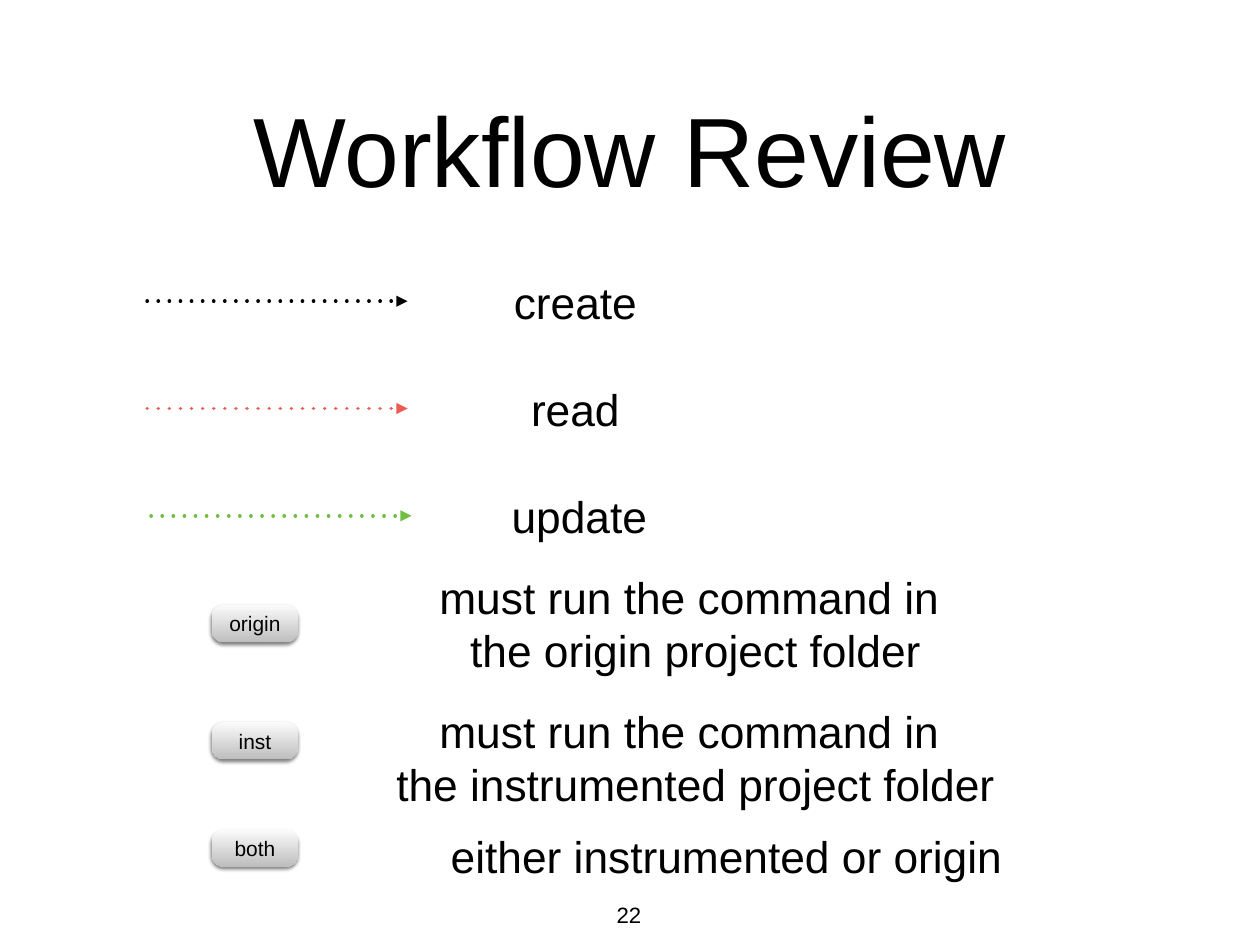
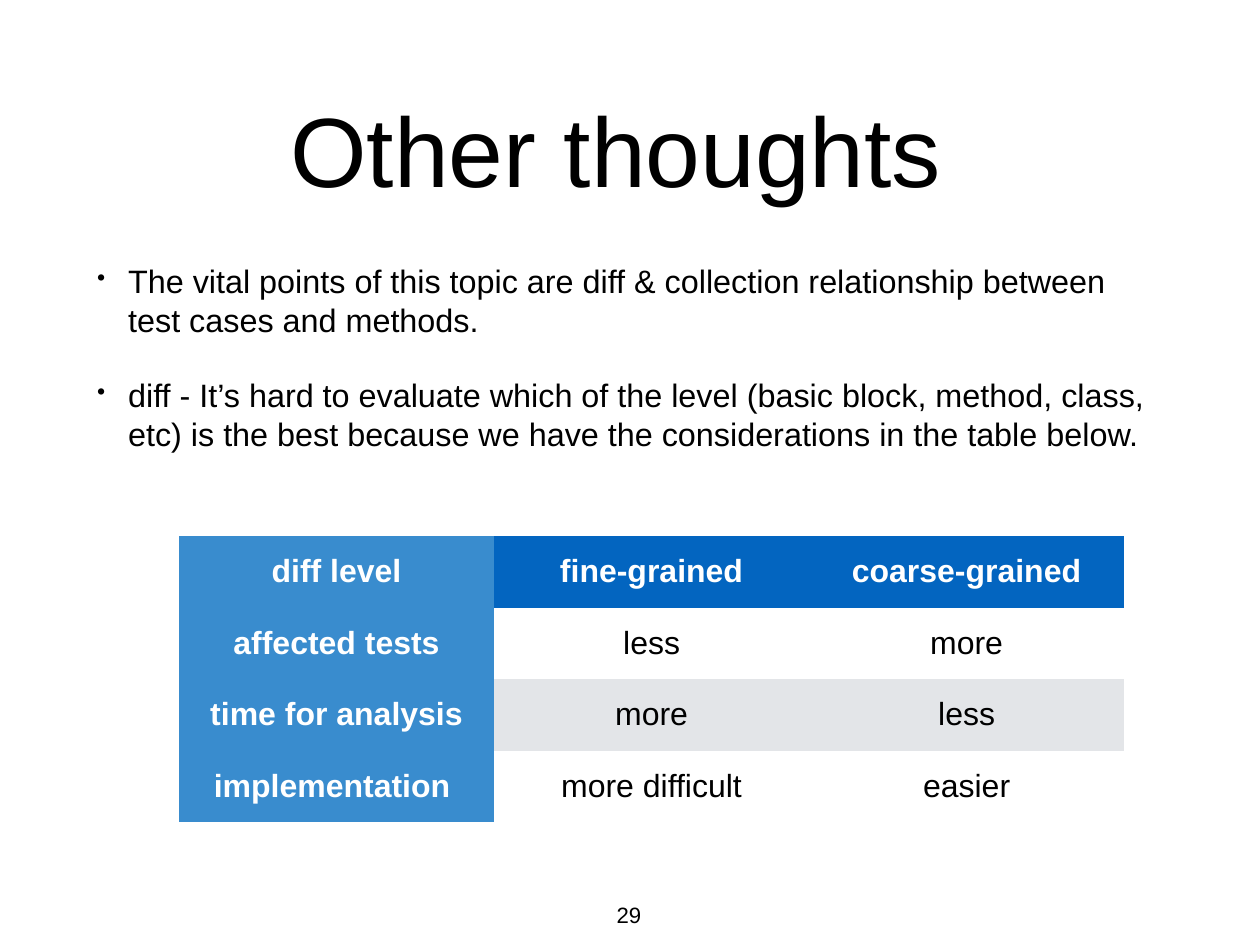
import dataclasses

import lxml.etree
import pptx
import pptx.dml.color
import pptx.enum.shapes
import pptx.enum.text
import pptx.oxml.ns
import pptx.util

ALIGN = pptx.enum.text.PP_ALIGN
ANCHOR = pptx.enum.text.MSO_ANCHOR
qn = pptx.oxml.ns.qn


@dataclasses.dataclass(frozen=True)
class Theme:
    font: str = "Arial"
    ink: str = "000000"
    paper: str = "FFFFFF"
    read: str = "EC5C57"
    update: str = "70BF41"
    pill_top: str = "FBFBFB"
    pill_bottom: str = "BEBEBE"
    header: str = "0365C0"
    first_column: str = "398CCE"
    band: str = "E3E5E8"
    title_size: float = 80
    label_size: float = 36
    body_size: float = 26.3
    table_size: float = 26
    number_size: float = 18
    pill_size: float = 17
    inset: float = 4
    arrow_width: float = 3


THEME = Theme()

# Grid: 128 columns by 96 rows of square units, nine units to the inch
COLUMNS, ROWS = 128, 96
UNIT = pptx.util.Inches(1) / 9


@dataclasses.dataclass(frozen=True)
class Box:
    left: float
    top: float
    width: float
    height: float

    def inner(self, left, top, width, height):
        """A box placed from this box's top left corner."""
        return Box(self.left + left, self.top + top, width, height)

    def lengths(self):
        return [grid(value) for value in dataclasses.astuple(self)]


TITLE_BOX = Box(9.37, 4.41, 109.25, 21.25)
BODY_BOX = Box(9.37, 25.65, 109.25, 21.25)
NUMBER_BOX = Box(62.1, 91.1, 3.6, 3.8)
ARROWS_BOX = Box(14.95, 27.45, 51.55, 28.2)
COMMANDS_BOX = Box(21.5, 57.4, 80.55, 32.7)
TABLE_BOX = Box(18.2, 54.45, 96, 29.08)


def grid(units):
    return pptx.util.Emu(round(units * UNIT))


def rgb(color):
    return pptx.dml.color.RGBColor.from_string(color)


def add_xml(parent, tag, **attributes):
    return lxml.etree.SubElement(parent, qn(tag), attributes)


def set_text(text_frame, lines, size, color=THEME.ink, bold=False,
             align=ALIGN.CENTER):
    text_frame.text = "\n".join(lines)
    for paragraph in text_frame.paragraphs:
        paragraph.alignment = align
        for run in paragraph.runs:
            font = run.font
            font.name, font.size, font.bold = THEME.font, pptx.util.Pt(size), bold
            font.color.rgb = rgb(color)


def set_margins(target):
    inset = pptx.util.Pt(THEME.inset)
    target.margin_left = target.margin_right = inset
    target.margin_top = target.margin_bottom = inset


def add_text(slide, box, lines, size, anchor=ANCHOR.MIDDLE, wrap=True,
             align=ALIGN.CENTER):
    text_frame = slide.shapes.add_textbox(*box.lengths()).text_frame
    set_margins(text_frame)
    text_frame.word_wrap = wrap
    text_frame.vertical_anchor = anchor
    if not wrap:
        text_frame.auto_size = pptx.enum.text.MSO_AUTO_SIZE.SHAPE_TO_FIT_TEXT
    set_text(text_frame, lines, size, align=align)
    return text_frame


def add_base_slide(presentation, title, number):
    """Blank slide with the shared title and page number."""
    slide = presentation.slides.add_slide(presentation.slide_layouts[6])
    add_text(slide, TITLE_BOX, [title], THEME.title_size)
    add_text(slide, NUMBER_BOX, [number], THEME.number_size,
             anchor=ANCHOR.TOP, wrap=False)
    return slide


def add_dotted_arrow(slide, left, middle, width, color):
    arrow = slide.shapes.add_connector(
        pptx.enum.shapes.MSO_CONNECTOR.STRAIGHT,
        grid(left), grid(middle), grid(left + width), grid(middle))
    arrow.line.color.rgb = rgb(color)
    arrow.line.width = pptx.util.Pt(THEME.arrow_width)
    line = arrow._element.spPr.find(qn("a:ln"))
    line.set("cap", "rnd")
    dashes = add_xml(line, "a:custDash")
    add_xml(dashes, "a:ds", d="100000", sp="200000")
    add_xml(line, "a:tailEnd", type="triangle")
    add_xml(arrow._element.spPr, "a:effectLst")


def add_pill(slide, box, text):
    pill = slide.shapes.add_shape(
        pptx.enum.shapes.MSO_SHAPE.ROUNDED_RECTANGLE, *box.lengths())
    pill.adjustments[0] = 0.335
    pill.fill.gradient()
    pill.fill.gradient_angle = 270
    stops = zip(pill.fill.gradient_stops, (THEME.pill_top, THEME.pill_bottom))
    for position, (stop, color) in enumerate(stops):
        stop.position = position
        stop.color.rgb = rgb(color)
    pill.line.fill.background()
    # Soft shadow below
    pill.shadow.inherit = False
    effects = pill._element.spPr.find(qn("a:effectLst"))
    shadow = add_xml(effects, "a:outerShdw", blurRad=str(pptx.util.Pt(3)),
                     dist=str(pptx.util.Pt(2)), dir="5400000", rotWithShape="0")
    shadow_color = add_xml(shadow, "a:srgbClr", val=THEME.ink)
    add_xml(shadow_color, "a:alpha", val="50000")
    set_margins(pill.text_frame)
    pill.text_frame.vertical_anchor = ANCHOR.MIDDLE
    set_text(pill.text_frame, [text], THEME.pill_size)


def add_arrow_legend(slide, box):
    """Dotted arrows with their meaning, one per row."""
    row_step, label_height, label_center = 10.9, 6.4, 43.5
    # Meaning, colour, label width, shift to the right
    entries = [
        ("create", THEME.ink, 13.77, 0),
        ("read", THEME.read, 10.26, 0),
        ("update", THEME.update, 15.39, 0.4),
    ]
    for row, (meaning, color, width, shift) in enumerate(entries):
        top = row * row_step
        add_dotted_arrow(slide, box.left + shift, box.top + top + 3.15, 26.45, color)
        label_box = box.inner(label_center + shift - width / 2, top,
                              width, label_height)
        add_text(slide, label_box, [meaning], THEME.label_size, wrap=False)


def add_command_legend(slide, box):
    """Pills with the folder each command runs in."""
    first_line = "must run the command in "
    # Pill, pill top, label left, label top, label width, label lines
    entries = [
        ("origin", 4.05, 21.7, 0, 54.9, [first_line, "the origin project folder"]),
        ("inst", 15.95, 17.75, 13.6, 62.8,
         [first_line, "the instrumented project folder"]),
        ("both", 26.85, 23.5, 26.3, 57.6, ["either instrumented or origin"]),
    ]
    for name, pill_top, left, top, width, lines in entries:
        add_pill(slide, box.inner(0, pill_top, 8.8, 3.8), name)
        label_box = box.inner(left, top, width, 1 + 5.4 * len(lines))
        add_text(slide, label_box, lines, THEME.label_size, wrap=False)


def add_bullets(slide, box, lines):
    text_frame = add_text(slide, box, lines, THEME.body_size, align=ALIGN.LEFT)
    indent = pptx.util.Inches(0.35)
    for paragraph in text_frame.paragraphs:
        paragraph.space_before = pptx.util.Pt(30)
        properties = paragraph._p.get_or_add_pPr()
        properties.set("marL", str(indent))
        properties.set("indent", str(-indent))
        add_xml(properties, "a:buSzPct", val="75000")
        add_xml(properties, "a:buChar", char="•")


def add_comparison_table(slide, box, rows):
    frame = slide.shapes.add_table(len(rows), len(rows[0]), *box.lengths())
    table = frame.table
    table.horz_banding = False
    # Plain style without borders
    style = next(frame._element.iter(qn("a:tableStyleId")))
    style.text = "{2D5ABB26-0587-4C30-8999-92F81FD0307C}"
    for row, texts in enumerate(rows):
        for column, text in enumerate(texts):
            heading = row == 0 or column == 0
            if column == 0:
                fill = THEME.first_column
            elif row == 0:
                fill = THEME.header
            else:
                fill = THEME.paper if row % 2 else THEME.band
            cell = table.cell(row, column)
            cell.fill.solid()
            cell.fill.fore_color.rgb = rgb(fill)
            cell.vertical_anchor = ANCHOR.MIDDLE
            set_margins(cell)
            set_text(cell.text_frame, [text], THEME.table_size,
                     THEME.paper if heading else THEME.ink, heading)


def build_workflow_slide(presentation):
    slide = add_base_slide(presentation, "Workflow Review", "22")
    add_arrow_legend(slide, ARROWS_BOX)
    add_command_legend(slide, COMMANDS_BOX)


def build_thoughts_slide(presentation):
    slide = add_base_slide(presentation, "Other thoughts ", "29")
    add_bullets(slide, BODY_BOX, [
        "The vital points of this topic are diff & collection relationship "
        "between test cases and methods.",
        "diff - It’s hard to evaluate which of the level (basic block, method, "
        "class, etc) is the best because we have the considerations in the "
        "table below.",
    ])
    add_comparison_table(slide, TABLE_BOX, [
        ("diff level", "fine-grained", "coarse-grained"),
        ("affected tests", "less", "more"),
        ("time for analysis", "more", "less"),
        ("implementation ", "more difficult", "easier"),
    ])


def main():
    presentation = pptx.Presentation()
    presentation.slide_width = grid(COLUMNS)
    presentation.slide_height = grid(ROWS)
    build_workflow_slide(presentation)
    build_thoughts_slide(presentation)
    presentation.save("out.pptx")


if __name__ == "__main__":
    main()
